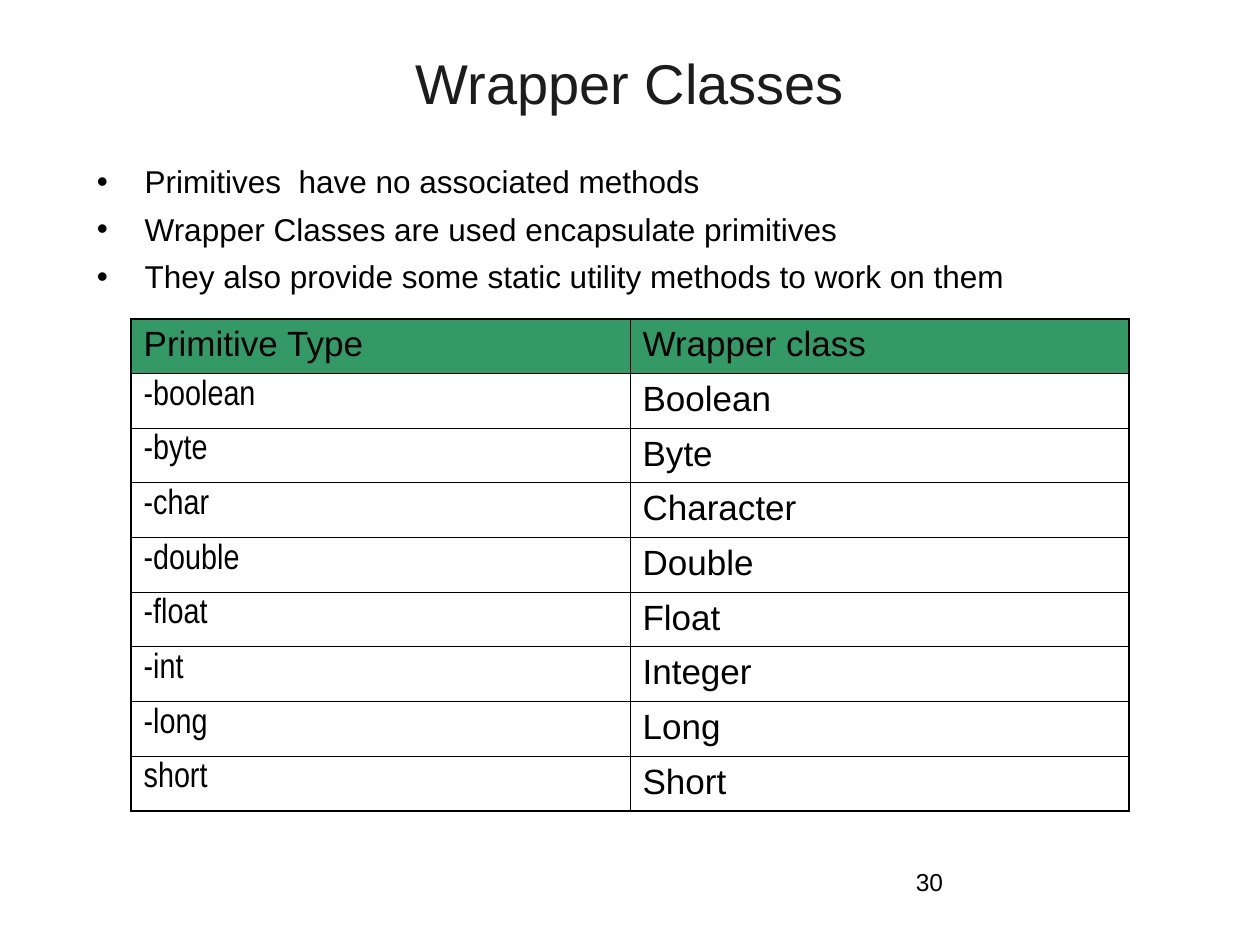
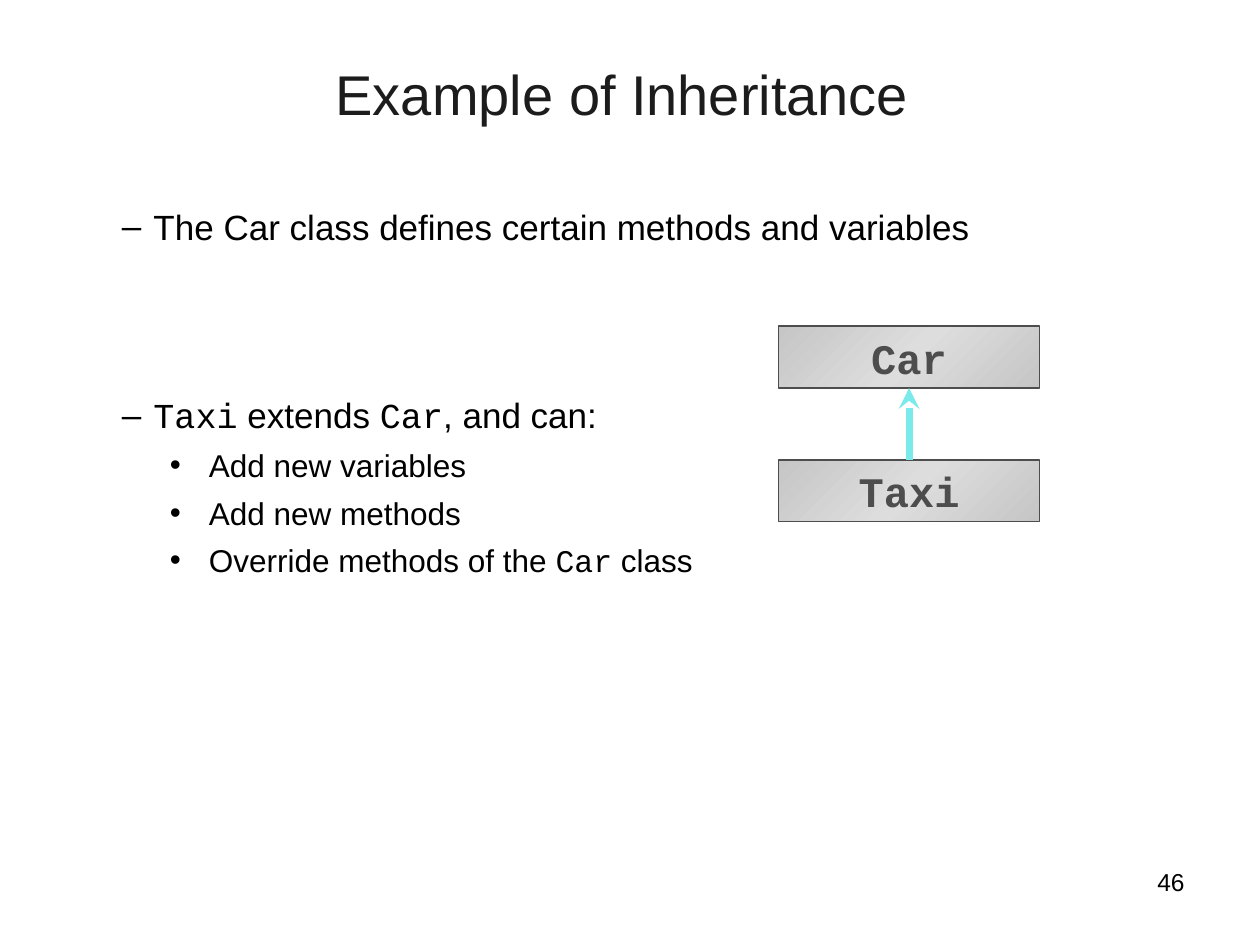
"""Builds two slides on Java wrapper classes and inheritance."""
from copy import deepcopy

from lxml import etree
from pptx import Presentation
from pptx import util as u
from pptx.dml.color import RGBColor
from pptx.enum import shapes, text
from pptx.oxml.ns import qn

COLOURS = {
    "title": "1C1C1C",
    "ink": "000000",
    "header": "339966",
    "box_edge": "C6C6C6",
    "box_middle": "DDDDDD",
    "box_ink": "4D4D4D",
    "arrow": "7BEAEA",
}
SANS, NARROW, MONO = "Arial", "Arial Narrow", "Courier New"
LEFT, CENTER, RIGHT = text.PP_ALIGN.LEFT, text.PP_ALIGN.CENTER, text.PP_ALIGN.RIGHT
TOP, MIDDLE = text.MSO_ANCHOR.TOP, text.MSO_ANCHOR.MIDDLE
OUTER, INNER = 1.08, 0.45


def colour(name):
    """Return the named colour."""
    return RGBColor.from_string(COLOURS[name])


def inches(*lengths):
    """Turn numbers into lengths in inches."""
    return [u.Inches(length) for length in lengths]


def write(para, content, size=18, font=SANS, ink="ink", bold=False, align=LEFT):
    """Write a string, or (string, font) pairs, into a paragraph."""
    para.alignment = align
    spans = [(content, font)] if isinstance(content, str) else content
    for words, face in spans:
        span = para.add_run()
        span.text = words
        span.font.size = u.Pt(size)
        span.font.name = face
        span.font.bold = bold
        span.font.color.rgb = colour(ink)


def add_bullet(para, symbol, indent, hanging):
    """Give a paragraph a hanging bullet."""
    properties = para._p.get_or_add_pPr()
    properties.set("marL", str(u.Inches(indent)))
    properties.set("indent", str(-u.Inches(hanging)))
    tint = etree.SubElement(properties, qn("a:buClr"))
    etree.SubElement(tint, qn("a:srgbClr"), val=COLOURS["ink"])
    etree.SubElement(properties, qn("a:buFont"), typeface=SANS)
    etree.SubElement(properties, qn("a:buChar"), char=symbol)


def add_border(cell, side, width):
    """Draw one side of a table cell."""
    properties = cell._tc.get_or_add_tcPr()
    line = etree.SubElement(properties, qn(f"a:ln{side}"), w=str(u.Pt(width)))
    fill = etree.SubElement(line, qn("a:solidFill"))
    etree.SubElement(fill, qn("a:srgbClr"), val=COLOURS["ink"])


class SlideBuilder:
    """Holds the deck style and the current slide."""

    def __init__(self):
        """Start an empty deck."""
        self.deck = Presentation()
        self.deck.slide_width, self.deck.slide_height = inches(10, 7.5)
        self.page = None

    def start(self, title, place, anchor, number, number_align):
        """Add a page with its title and number."""
        self.page = self.deck.slides.add_slide(self.deck.slide_layouts[5])
        box = self.page.shapes.title
        box.left, box.top, box.width, box.height = inches(*place)
        box.text_frame.vertical_anchor = anchor
        write(box.text_frame.paragraphs[0], title, size=32, ink="title", align=CENTER)
        frame = self.text_box((7.17, 6.83, 2.33, 0.52))
        write(frame.paragraphs[0], number, size=14, align=number_align)

    def text_box(self, place):
        """Add a wrapping text box and return its frame."""
        frame = self.page.shapes.add_textbox(*inches(*place)).text_frame
        frame.word_wrap = True
        return frame

    def bullets(self, place, items):
        """Add bulleted paragraphs given as (content, style) pairs."""
        frame = self.text_box(place)
        for index, (content, style) in enumerate(items):
            para = frame.add_paragraph() if index else frame.paragraphs[0]
            add_bullet(para, style["symbol"], style["indent"], style["hanging"])
            if index:
                para.space_before = u.Pt(style.get("before", 5.5))
            para.line_spacing = style.get("spacing", 1.0)
            write(para, content, size=style["size"])

    def table(self, place, rows):
        """Add a ruled table with a coloured header row."""
        last_row, last_column = len(rows) - 1, len(rows[0]) - 1
        grid = self.page.shapes.add_table(len(rows), len(rows[0]), *inches(*place)).table
        for i, row in enumerate(rows):
            for j, words in enumerate(row):
                cell = grid.cell(i, j)
                font = NARROW if i and j == 0 else SANS
                write(cell.text_frame.paragraphs[0], words, size=20, font=font)
                edges = {"L": j == 0, "R": j == last_column, "T": i == 0, "B": i == last_row}
                for side, is_outer in edges.items():
                    add_border(cell, side, OUTER if is_outer else INNER)
                if i == 0:
                    cell.fill.solid()
                    cell.fill.fore_color.rgb = colour("header")
                else:
                    cell.fill.background()

    def class_box(self, name, place):
        """Add a shaded rectangle naming a class."""
        box = self.page.shapes.add_shape(shapes.MSO_SHAPE.RECTANGLE, *inches(*place))
        box.shadow.inherit = False
        box.fill.gradient()
        box.fill.gradient_angle = 315
        stop_list = box._element.spPr.find(f".//{qn('a:gsLst')}")
        stop_list.append(deepcopy(stop_list[0]))
        shades = ("box_edge", "box_middle", "box_edge")
        for index, (stop, shade) in enumerate(zip(box.fill.gradient_stops, shades)):
            stop.position = index / 2
            stop.color.rgb = colour(shade)
        box.line.color.rgb = colour("box_ink")
        box.line.width = u.Pt(1)
        frame = box.text_frame
        frame.word_wrap = False
        frame.vertical_anchor = MIDDLE
        write(frame.paragraphs[0], name, size=24, font=MONO, ink="box_ink",
              bold=True, align=CENTER)
        return box

    def arrow_up(self, lower, upper):
        """Join the top of one box to the bottom of another."""
        arrow = self.page.shapes.add_connector(shapes.MSO_CONNECTOR.STRAIGHT, 0, 0, 0, 0)
        arrow.begin_connect(lower, 0)
        arrow.end_connect(upper, 2)
        arrow.line.color.rgb = colour("arrow")
        arrow.line.width = u.Pt(4)
        etree.SubElement(arrow.line._get_or_add_ln(), qn("a:tailEnd"), type="stealth")
        etree.SubElement(arrow._element.spPr, qn("a:effectLst"))


def build_wrapper_classes(builder):
    """Build the slide on wrapper classes."""
    builder.start("Wrapper Classes", (0.5, 0.3, 9, 0.7), MIDDLE, "30", LEFT)
    point = {"symbol": "•", "indent": 0.38, "hanging": 0.38, "size": 18}
    builder.bullets((0.67, 1.24, 8, 1.33), [
        ("Primitives  have no associated methods", point),
        ("Wrapper Classes are used encapsulate primitives", point),
        ("They also provide some static utility methods to work on them", point),
    ])
    builder.table((1.04, 2.53, 7.92, 3.9), [
        ("Primitive Type", "Wrapper class"),
        ("-boolean", "Boolean"),
        ("-byte", "Byte"),
        ("-char", "Character"),
        ("-double", "Double"),
        ("-float", "Float"),
        ("-int", "Integer"),
        ("-long", "Long"),
        ("short", "Short"),
    ])


def build_inheritance(builder):
    """Build the slide on inheritance."""
    builder.start("Example of Inheritance", (0.69, 0.42, 8.5, 1.25), TOP, "46", RIGHT)
    dash = {"symbol": "–", "indent": 0.37, "hanging": 0.25, "size": 20}
    distant_dash = {**dash, "before": 86.5, "spacing": 0.9}
    point = {"symbol": "•", "indent": 0.81, "hanging": 0.31, "size": 18}
    builder.bullets((0.75, 1.58, 8.24, 3.05), [
        ("The Car class defines certain methods and variables", dash),
        ([("Taxi", MONO), (" extends ", SANS), ("Car", MONO), (", and can:", SANS)],
         distant_dash),
        ("Add new variables", point),
        ("Add new methods", point),
        ([("Override methods of the ", SANS), ("Car", MONO), (" class", SANS)], point),
    ])
    car, taxi = (builder.class_box(name, (6.18, top, 2.07, 0.49))
                 for name, top in (("Car", 2.59), ("Taxi", 3.65)))
    builder.arrow_up(taxi, car)


def main():
    """Build and save the deck."""
    builder = SlideBuilder()
    build_wrapper_classes(builder)
    build_inheritance(builder)
    builder.deck.save("out.pptx")


if __name__ == "__main__":
    main()
